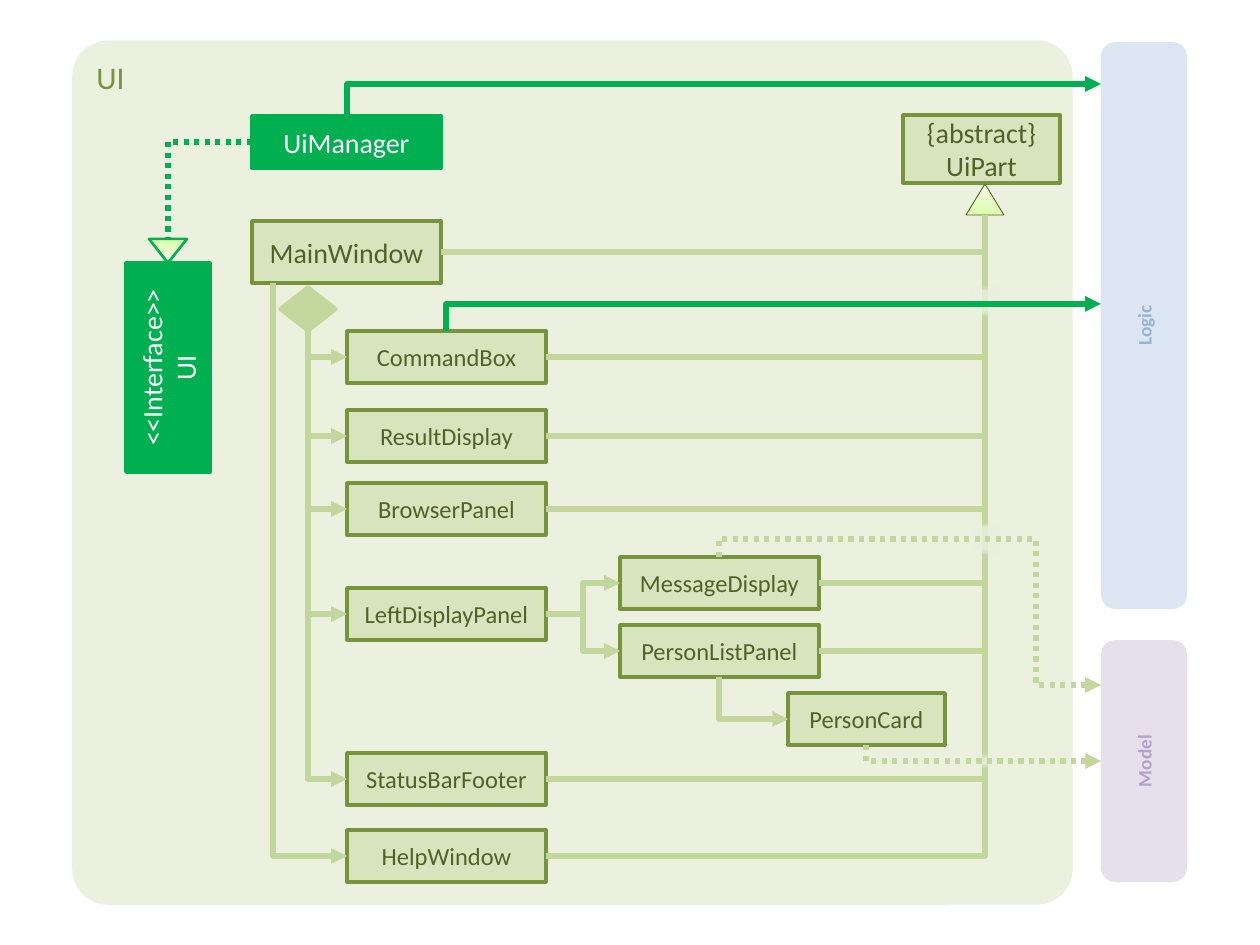
from copy import deepcopy
from dataclasses import dataclass

from lxml import etree
from pptx import Presentation
from pptx.dml.color import RGBColor
from pptx.enum import dml, shapes, text
from pptx.oxml import ns
from pptx.util import Emu, Pt

SCALE = 914400 / 126
GREEN, PALE, LEAF, OLIVE, DARK, LINK, WHITE = (
    "00B050", "EBF1DE", "D7E4BD", "77933C", "4F6228", "C3D69B", "FFFFFF")
SHAPE = shapes.MSO_SHAPE


@dataclass
class Box:
    label: str
    left: int
    top: int
    width: int
    height: int
    fill: str = LEAF
    line: str | None = OLIVE
    ink: str = DARK
    size: int = 14
    kind: int = SHAPE.RECTANGLE
    upright: bool = False
    bold: bool = False
    align: int = text.PP_ALIGN.CENTER
    anchor: int = text.MSO_ANCHOR.MIDDLE

    @property
    def middle(self) -> int:
        return self.top + self.height // 2

    @property
    def center(self) -> int:
        return self.left + self.width // 2

    @property
    def right(self) -> int:
        return self.left + self.width

    @property
    def bottom(self) -> int:
        return self.top + self.height


@dataclass
class Route:
    start: tuple[int, int]
    end: tuple[int, int]
    preset: str = "bentConnector2"
    down_first: bool = False
    bends: tuple[float, ...] = ()
    color: str = LINK
    dotted: bool = False
    arrow: bool = True


def px(value: float) -> Emu:
    return Emu(round(value * SCALE))


def rgb(value: str) -> RGBColor:
    return RGBColor.from_string(value)


def child(parent, tag: str, **values: str):
    node = etree.SubElement(parent, ns.qn(tag))
    for name, value in values.items():
        node.set(name, value)
    return node


def add_box(page, box: Box):
    left, top, width, height = box.left, box.top, box.width, box.height
    if box.upright:
        left, top = left + (width - height) / 2, top + (height - width) / 2
        width, height = height, width
    shape = page.shapes.add_shape(box.kind, px(left), px(top), px(width), px(height))
    shape.shadow.inherit = False
    shape.rotation = 270 if box.upright else 0
    shape.fill.solid()
    shape.fill.fore_color.rgb = rgb(box.fill)
    if box.line:
        shape.line.color.rgb = rgb(box.line)
        shape.line.width = Pt(2)
    else:
        shape.line.fill.background()
    frame = shape.text_frame
    frame.vertical_anchor = box.anchor
    for index, words in enumerate(box.label.splitlines()):
        para = frame.add_paragraph() if index else frame.paragraphs[0]
        para.alignment = box.align
        span = para.add_run()
        span.text = words
        span.font.color.rgb = rgb(box.ink)
        style = {"name": "Calibri", "size": Pt(box.size), "bold": box.bold}
        for name, value in style.items():
            setattr(span.font, name, value)
    return shape


def add_route(page, route: Route) -> None:
    (x1, y1), (x2, y2) = route.start, route.end
    if route.down_first:  # a quarter turn plus a flip swaps the two axes
        mid_x, mid_y, half_w, half_h = (x1 + x2) / 2, (y1 + y2) / 2, (y2 - y1) / 2, (x2 - x1) / 2
        x1, y1, x2, y2 = mid_x - half_w, mid_y - half_h, mid_x + half_w, mid_y + half_h
    link = page.shapes.add_connector(shapes.MSO_CONNECTOR.ELBOW, px(x1), px(y1), px(x2), px(y2))
    link.line.color.rgb = rgb(route.color)
    link.line.width = Pt(3)
    if route.dotted:
        link.line.dash_style = dml.MSO_LINE.ROUND_DOT
    properties = link.element.spPr
    if route.down_first:
        frame = properties.find(ns.qn("a:xfrm"))
        frame.set("rot", "16200000")
        frame.set("flipH", "1")
    geometry = properties.find(ns.qn("a:prstGeom"))
    geometry.set("prst", route.preset)
    guides = geometry.find(ns.qn("a:avLst"))
    for index, bend in enumerate(route.bends, 1):
        child(guides, "a:gd", name=f"adj{index}", fmla=f"val {round(bend * 100000)}")
    if route.arrow:
        child(properties.find(ns.qn("a:ln")), "a:tailEnd", type="triangle")
    child(properties, "a:effectLst")


def add_triangle(page, left: int, top: int, height: int, line: str, points: float, down: bool) -> None:
    shape = page.shapes.add_shape(SHAPE.ISOSCELES_TRIANGLE, px(left), px(top), px(38), px(height))
    shape.shadow.inherit = False
    shape.fill.gradient()
    shape.fill.gradient_angle = 90
    for stop, color in zip(shape.fill.gradient_stops, ("DAFDA7", "F5FFE7")):
        stop.color.rgb = rgb(color)
    first = shape.element.spPr.find(".//" + ns.qn("a:gs"))
    between = deepcopy(first)
    between.set("pos", "35000")
    between[0].set("val", "E4FCC2")
    first.addnext(between)
    shape.line.color.rgb = rgb(line)
    shape.line.width = Pt(points)
    if down:
        shape.element.spPr.find(ns.qn("a:xfrm")).set("flipV", "1")


def add_veil(page, left: int, top: int, width: int, height: int) -> None:
    shape = add_box(page, Box("", left, top, width, height, PALE, None))
    properties = shape.element.spPr
    child(properties.find(".//" + ns.qn("a:srgbClr")), "a:alpha", val="80000")
    child(properties.find(ns.qn("a:effectLst")), "a:softEdge", rad="31750")


deck = Presentation()
deck.slide_width, deck.slide_height = px(1260), px(945)
page = deck.slides.add_slide(deck.slide_layouts[6])

# Panel and boxes
panel = add_box(page, Box("UI", 74, 42, 997, 861, PALE, PALE, OLIVE, 18, SHAPE.ROUNDED_RECTANGLE,
                          align=text.PP_ALIGN.LEFT, anchor=text.MSO_ANCHOR.TOP))
panel.adjustments[0] = 0.04
interface = Box("<<Interface>>\nUI", 126, 263, 84, 209, GREEN, GREEN, WHITE, 16, upright=True)
manager = Box("UiManager", 252, 116, 189, 52, GREEN, GREEN, WHITE, 16)
window = Box("MainWindow", 252, 221, 189, 62, size=16)
ui_part = Box("{abstract}\nUiPart", 903, 115, 157, 68, size=16)
command, result, browser, left_panel, status, help_window = parts = [
    Box(name, 347, top, 199, 52) for name, top in (
        ("CommandBox", 331), ("ResultDisplay", 410), ("BrowserPanel", 483),
        ("LeftDisplayPanel", 588), ("StatusBarFooter", 753), ("HelpWindow", 830))]
message = Box("MessageDisplay", 620, 557, 199, 52)
person_list = Box("PersonListPanel", 620, 625, 199, 52)
card = Box("PersonCard", 788, 693, 157, 52)
logic, model = [
    Box(name, 1101, top, 86, height, fill, None, ink, 11, SHAPE.ROUNDED_RECTANGLE, True, True)
    for name, top, height, fill, ink in (
        ("Logic", 42, 567, "DCE6F2", "95B3D7"), ("Model", 640, 242, "E6E0EC", "B3A2C7"))]
for box in (interface, manager, window, *parts, message, person_list, card, ui_part, logic, model):
    add_box(page, box)

# Inheritance triangles and ownership diamond
add_triangle(page, 149, 239, 24, GREEN, 1.5, True)
add_triangle(page, 966, 184, 31, DARK, 0.5, False)
diamond = Box("", 280, 287, 56, 44, LINK, LINK, kind=SHAPE.FLOWCHART_DECISION)
add_box(page, diamond)

# Ownership and inheritance links
links = [
    Route((manager.left, manager.middle), (168, 239), color=GREEN, dotted=True, arrow=False),
    Route((273, window.bottom), (help_window.left, help_window.middle), down_first=True),
    Route((person_list.center, person_list.bottom), (card.left, card.middle), down_first=True)]
links += [Route((diamond.center, diamond.bottom), (part.left, part.middle), down_first=True)
          for part in parts if part is not help_window]
links += [Route((left_panel.right, left_panel.middle), (target.left, target.middle), "bentConnector3")
          for target in (message, person_list)]
links += [Route((heir.right, heir.middle), (985, 215), arrow=False)
          for heir in (window, command, result, browser, message, person_list, status, help_window)]
for link in links:
    add_route(page, link)

# Crossings: fade the inheritance line under the links to Logic and Model
for left, top, width, height in ((968, 751, 32, 21), (969, 284, 34, 36), (971, 520, 33, 39)):
    add_veil(page, left, top, width, height)
for link in (
        Route((card.center, card.bottom), (model.left, 761), down_first=True, dotted=True),
        Route((347, manager.top), (logic.left, 84), "bentConnector3", bends=(0,), color=GREEN),
        Route((command.center, command.top), (logic.left, 304), "bentConnector3", bends=(0,), color=GREEN),
        Route((message.center, message.top), (model.left, 685), "bentConnector4", True,
              (-0.14, 0.83), dotted=True)):
    add_route(page, link)

deck.save("out.pptx")
